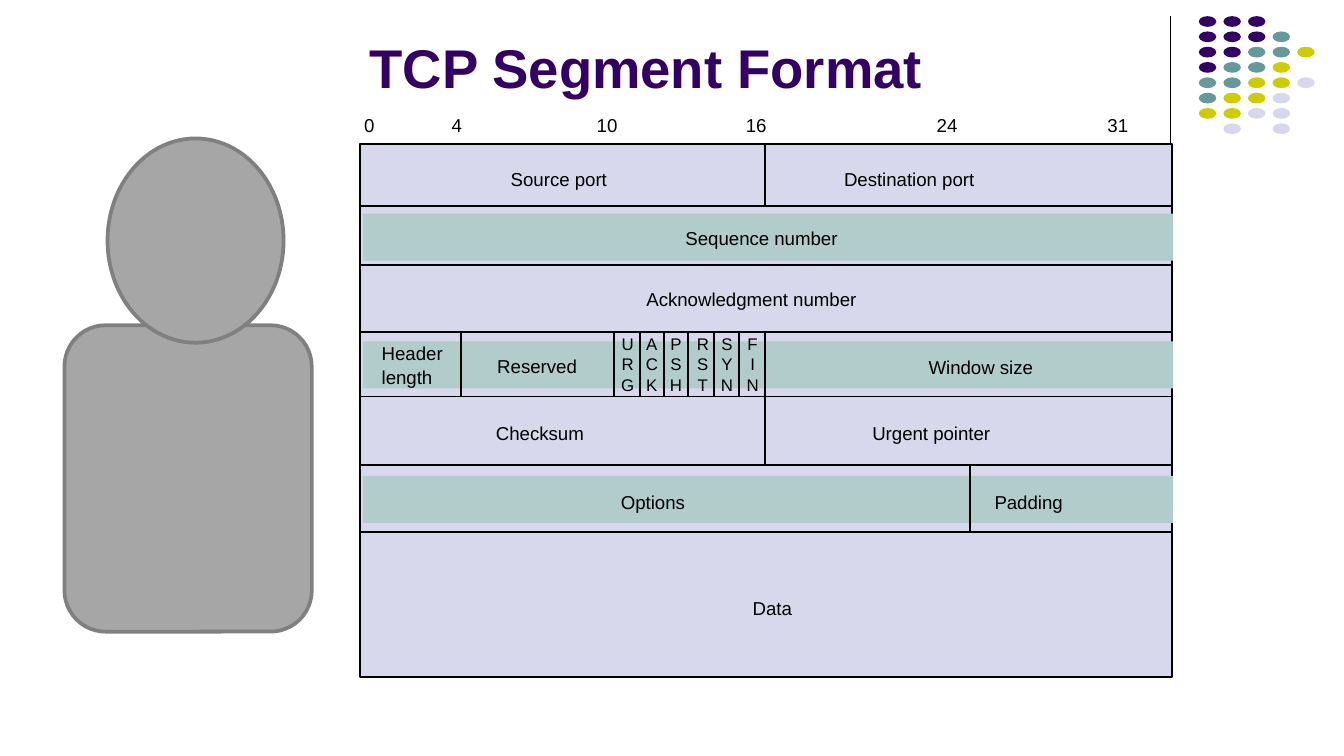
from lxml import etree
from pptx import Presentation
from pptx.dml.color import RGBColor
from pptx.enum.shapes import MSO_CONNECTOR, MSO_SHAPE
from pptx.enum.text import MSO_ANCHOR, MSO_AUTO_SIZE, PP_ALIGN
from pptx.oxml.ns import qn
from pptx.util import Inches, Pt

RECT, OVAL, ROUNDED = MSO_SHAPE.RECTANGLE, MSO_SHAPE.OVAL, MSO_SHAPE.ROUNDED_RECTANGLE
STRAIGHT = MSO_CONNECTOR.STRAIGHT
LEFT, CENTER = PP_ALIGN.LEFT, PP_ALIGN.CENTER
TOP, MIDDLE = MSO_ANCHOR.TOP, MSO_ANCHOR.MIDDLE
NO_AUTOFIT = MSO_AUTO_SIZE.NONE

COLORS = {
    "ink": "000000", "purple": "330066", "teal": "669999", "olive": "CCCC00",
    "lavender": "D8D8EC", "band": "B1CCCB", "gray": "A6A6A6", "outline": "808080",
}
FONT = "Arial"


def rgb(name):
    return RGBColor.from_string(COLORS[name])


class SegmentSlide:
    """Holds the style and the slide being drawn."""

    def __init__(self, slide):
        self.slide = slide
        self.shapes = slide.shapes

    def style(self, paragraph, size, color="ink", bold=False, align=LEFT):
        paragraph.alignment = align
        font = paragraph.font
        font.name, font.size, font.bold = FONT, Pt(size), bold
        font.color.rgb = rgb(color)

    def frame(self, holder, inset_x=0, inset_y=0, anchor=TOP):
        frame = holder.text_frame
        frame.auto_size = NO_AUTOFIT
        frame.margin_left = frame.margin_right = Inches(inset_x)
        frame.margin_top = frame.margin_bottom = Inches(inset_y)
        frame.vertical_anchor = anchor
        return frame

    def title(self, text, left, top, width, height):
        title = self.shapes.title
        title.left, title.top = Inches(left), Inches(top)
        title.width, title.height = Inches(width), Inches(height)
        frame = self.frame(title, 0.07, 0.04, MIDDLE)
        frame.text = text
        self.style(frame.paragraphs[0], 29.2, "purple", bold=True)

    def shape(self, kind, left, top, width, height, fill, line=None, weight=1):
        shape = self.shapes.add_shape(
            kind, Inches(left), Inches(top), Inches(width), Inches(height))
        shape.shadow.inherit = False
        shape.fill.solid()
        shape.fill.fore_color.rgb = rgb(fill)
        if line:
            shape.line.color.rgb = rgb(line)
            shape.line.width = Pt(weight)
        else:
            shape.line.fill.background()

    def line(self, x1, y1, x2, y2, weight=1):
        rule = self.shapes.add_connector(
            STRAIGHT, Inches(x1), Inches(y1), Inches(x2), Inches(y2))
        rule.line.color.rgb = rgb("ink")
        rule.line.width = Pt(weight)
        etree.SubElement(rule._element.spPr, qn("a:effectLst"))

    def label(self, text, left, top, width, size=10, align=LEFT, tabs=()):
        """Adds one line of text; tabs are distances from the left of the box."""
        box = self.shapes.add_textbox(
            Inches(left), Inches(top), Inches(width), Inches(0.18))
        frame = self.frame(box)
        frame.word_wrap = False
        paragraph = frame.paragraphs[0]
        paragraph.text = text
        if tabs:
            tab_list = etree.SubElement(paragraph._p.get_or_add_pPr(), qn("a:tabLst"))
            for stop in tabs:
                etree.SubElement(tab_list, qn("a:tab"), pos=str(Inches(stop)), algn="l")
        self.style(paragraph, size, align=align)

    def spread(self, entries, top, width):
        """Adds labels at given x positions as one tabbed line."""
        left = entries[0][0]
        self.label("\t".join(text for _, text in entries), left, top, width,
                   tabs=[x - left for x, _ in entries[1:]])


def draw_dots(page):
    dot_colors = {"P": "purple", "T": "teal", "O": "olive", "L": "lavender"}
    rows = ["PPP", "PPPT", "PPTTO", "PTTO", "TTOOL", "TOOL", "OOLL", " L L"]
    for row, dots in enumerate(rows):
        for column, dot in enumerate(dots):
            if dot in dot_colors:
                page.shape(OVAL, 8.92 + column * 0.183, 0.12 + row * 0.114,
                           0.13, 0.08, dot_colors[dot])


def draw_segment(page):
    left, right, top, middle = 2.68, 8.73, 1.07, 5.69
    row_lines = [1.53, 1.97, 2.47, 2.95, 3.46, 3.96]
    page.shape(RECT, left, top, 6.04, 3.97, "lavender", "ink")
    for band_top in (1.59, 2.54, 3.54):
        page.shape(RECT, 2.7, band_top, 6.03, 0.35, "band")
    for y in row_lines:
        page.line(left, y, right, y)

    page.line(middle, top, middle, row_lines[0])
    page.line(middle, row_lines[2], middle, row_lines[4])
    page.line(7.22, row_lines[4], 7.22, row_lines[5])
    for x in (3.43, 4.57, 4.76, 4.94, 5.12, 5.31, 5.5):
        page.line(x, row_lines[2], x, row_lines[3])

    page.spread([(2.71, "0"), (3.36, "4"), (4.44, "10"), (5.55, "16"),
                 (6.97, "24"), (8.24, "31")], 0.85, 5.98)
    page.spread([(3.8, "Source port"), (6.28, "Destination port")], 1.25, 3.65)
    page.spread([(3.69, "Checksum"), (6.49, "Urgent pointer")], 3.14, 3.89)
    page.spread([(4.62, "Options"), (7.4, "Padding")], 3.65, 3.47)
    for text, x, y, width in [
        ("Sequence number", 5.1, 1.69, 1.21),
        ("Acknowledgment number", 4.81, 2.14, 1.67),
        ("Header", 2.84, 2.54, 0.49),
        ("length", 2.84, 2.72, 0.4),
        ("Reserved", 3.7, 2.64, 0.63),
        ("Window size", 6.91, 2.65, 0.83),
        ("Data", 5.6, 4.44, 0.31),
    ]:
        page.label(text, x, y, width)

    flags = {"URG": 4.62, "ACK": 4.8, "PSH": 4.98, "RST": 5.18, "SYN": 5.36, "FIN": 5.55}
    for flag, x in flags.items():
        for row, letter in enumerate(flag):
            page.label(letter, x, 2.48 + row * 0.155, 0.1, size=9, align=CENTER)


def draw_person(page):
    page.shape(ROUNDED, 0.48, 2.42, 1.84, 2.28, "gray", "outline", 2)
    page.shape(OVAL, 0.8, 1.03, 1.31, 1.52, "gray", "outline", 2)


def main():
    deck = Presentation()
    deck.slide_width = Inches(10)
    deck.slide_height = deck.slide_width * 9 // 16
    page = SegmentSlide(deck.slides.add_slide(deck.slide_layouts[5]))
    page.line(8.71, 0.12, 8.71, 1.15, 0.75)
    draw_dots(page)
    page.title("TCP Segment Format", 2.68, 0.15, 5.46, 0.7)
    draw_segment(page)
    draw_person(page)
    deck.save("out.pptx")


if __name__ == "__main__":
    main()
